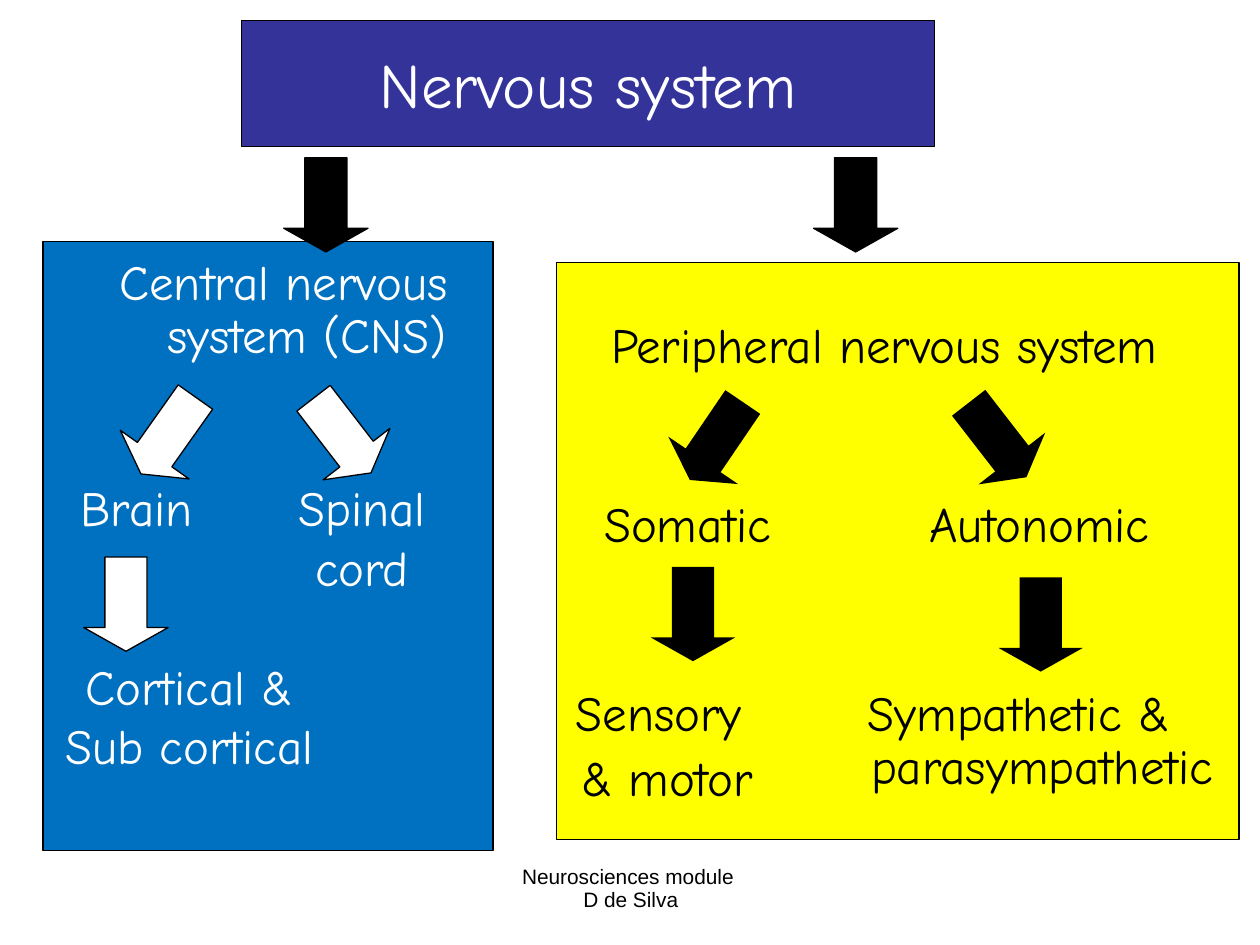
from pptx import Presentation, util as u
from pptx.dml.color import RGBColor
from pptx.enum import shapes, text

THEME = {
    "black": RGBColor(0x00, 0x00, 0x00),
    "white": RGBColor(0xFF, 0xFF, 0xFF),
    "indigo": RGBColor(0x33, 0x33, 0x99),
    "blue": RGBColor(0x00, 0x70, 0xC0),
    "yellow": RGBColor(0xFF, 0xFF, 0x00),
    "title": {"name": "Comic Neue", "size": u.Pt(36)},
    "body": {"name": "Comic Neue", "size": u.Pt(28)},
    "footer": {"name": "Arial", "size": u.Pt(11.9)},
}
HANGING = u.Cm(0.95)
PARAGRAPH_GAP = u.Pt(7)
ARROW_SIZE = (1.7, 1.9)
ARROW_HEAD = 0.281

# Boxes are left, top, width, height in cm
TITLE = ("Nervous system", (4.87, 0.42, 13.97, 2.54))
PANELS = [
    ("yellow", (11.22, 5.29, 13.76, 11.64)),
    ("blue", (0.87, 4.87, 9.07, 12.28)),
]
# Paragraphs, box, colour, line spacing
LABELS = [
    (["Central nervous system (CNS)"], (1.27, 5.08, 8.89, 2.54), "white", 0.9),
    (["Brain"], (0.85, 9.74, 3.81, 1.27), "white", 0.8),
    (["Spinal", "cord"], (5.29, 9.74, 4.02, 2.54), "white", 0.8),
    (["Cortical &", "Sub cortical"], (0.64, 13.34, 6.35, 2.54), "white", 0.8),
    (["Peripheral nervous system "], (11.43, 6.35, 13.12, 1.48), "black", 0.9),
    (["Somatic"], (11.22, 9.95, 5.29, 1.48), "black", 0.9),
    (["Autonomic"], (17.99, 9.95, 5.93, 1.48), "black", 0.9),
    (["Sensory ", "& motor"], (10.8, 13.76, 5.29, 2.75), "black", 0.9),
    (["Sympathetic & parasympathetic"], (15.88, 13.76, 9.31, 2.54), "black", 0.9),
]
FOOTER = (["Neurosciences module ", "D de Silva"], (8.69, 17.35, 8.05, 1.32))
# Left, top, rotation, fill, outline
ARROWS = [
    (5.72, 3.18, 0, "black", "black"),
    (16.4, 3.18, 0, "black", "black"),
    (2.54, 7.83, 35.3, "white", "black"),
    (6.05, 7.83, 322.4, "white", "black"),
    (1.69, 11.23, 0, "white", "black"),
    (13.59, 7.94, 34.2, "black", None),
    (19.26, 7.92, 322.2, "black", None),
    (13.12, 11.43, 0, "black", None),
    (20.13, 11.64, 0, "black", None),
]


def cm(box):
    return [u.Cm(value) for value in box]


def apply(target, values):
    for key, value in values.items():
        setattr(target, key, value)


def add_block(slide, preset, box, fill, outline="black"):
    block = slide.shapes.add_shape(preset, *cm(box))
    block.shadow.inherit = False
    block.fill.solid()
    block.fill.fore_color.rgb = THEME[fill]
    if outline:
        block.line.color.rgb = THEME[outline]
        block.line.width = u.Pt(0.75)
    else:
        block.line.fill.background()
    return block


def write(frame, lines, style, colour, spacing=1.0, gap=0, hanging=0):
    """Fill a frame with centred paragraphs; hanging indents wrapped lines."""
    frame.word_wrap = True
    for index, line in enumerate(lines):
        paragraph = frame.paragraphs[0] if index == 0 else frame.add_paragraph()
        paragraph.text = line
        apply(paragraph, {
            "alignment": text.PP_ALIGN.CENTER,
            "line_spacing": spacing,
            "space_before": gap if index else 0,
        })
        if hanging:
            properties = paragraph._p.get_or_add_pPr()
            properties.set("marL", str(hanging))
            properties.set("indent", str(-hanging))
        font = paragraph.runs[0].font
        apply(font, THEME[style])
        font.color.rgb = THEME[colour]


def add_text(slide, lines, box, *format_values):
    frame = slide.shapes.add_textbox(*cm(box)).text_frame
    write(frame, lines, *format_values)


def main():
    deck = Presentation()
    deck.slide_width, deck.slide_height = cm((25.4, 19.05))
    slide = deck.slides.add_slide(deck.slide_layouts[6])
    rectangle = shapes.MSO_SHAPE.RECTANGLE

    footer_lines, footer_box = FOOTER
    add_text(slide, footer_lines, footer_box, "footer", "black", 0.9)

    for fill, box in PANELS:
        add_block(slide, rectangle, box, fill)

    heading, heading_box = TITLE
    banner = add_block(slide, rectangle, heading_box, "indigo")
    banner.text_frame.vertical_anchor = text.MSO_ANCHOR.MIDDLE
    write(banner.text_frame, [heading], "title", "white")

    for lines, box, colour, spacing in LABELS:
        add_text(slide, lines, box, "body", colour, spacing, PARAGRAPH_GAP, HANGING)

    for left, top, rotation, fill, outline in ARROWS:
        arrow = add_block(slide, shapes.MSO_SHAPE.DOWN_ARROW,
                          (left, top, *ARROW_SIZE), fill, outline)
        arrow.rotation = rotation
        arrow.adjustments[1] = ARROW_HEAD

    deck.save("out.pptx")


if __name__ == "__main__":
    main()
